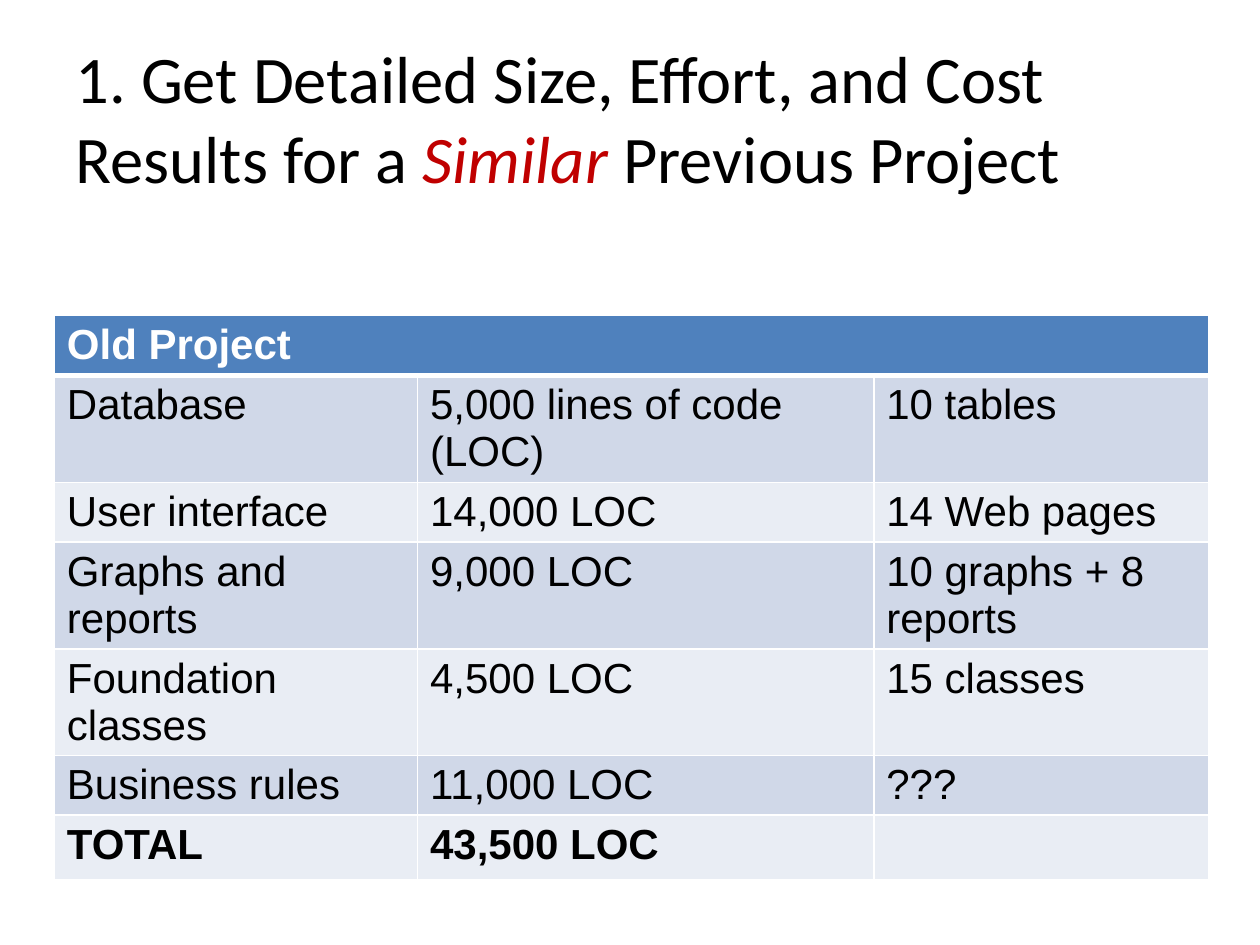
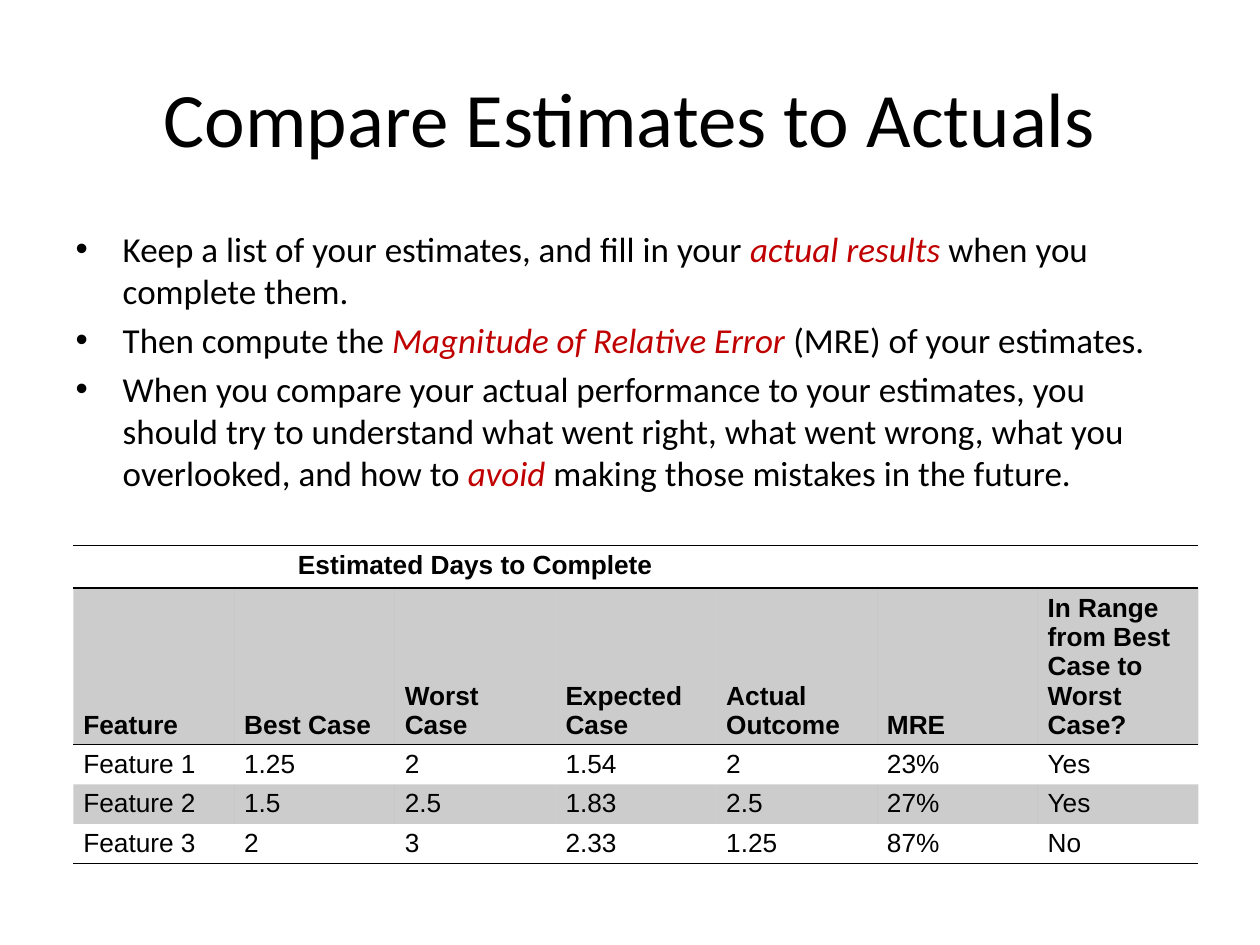
from lxml import etree
from pptx import Presentation
from pptx.dml.color import RGBColor
from pptx.enum import text
from pptx.oxml import ns
from pptx.util import Cm, Pt

BLACK = RGBColor(0x00, 0x00, 0x00)
WHITE = RGBColor(0xFF, 0xFF, 0xFF)
RED = RGBColor(0xC0, 0x00, 0x00)
BLUE = RGBColor(0x4F, 0x81, 0xBD)
BAND_DARK = RGBColor(0xD0, 0xD8, 0xE8)
BAND_LIGHT = RGBColor(0xE9, 0xED, 0xF4)
PLAIN_TABLE = "{2D5ABB26-0587-4C30-8999-92F81FD0307C}"
LEFT, CENTER = text.PP_ALIGN.LEFT, text.PP_ALIGN.CENTER
TOP, BOTTOM = text.MSO_ANCHOR.TOP, text.MSO_ANCHOR.BOTTOM


def write(p, words, size, font="Calibri", color=BLACK, bold=False, align=LEFT):
    """Fill a paragraph; parts between asterisks become red italics."""
    p.alignment = align
    if not words:
        end = etree.SubElement(p._p, ns.qn("a:endParaRPr"))
        end.set("sz", str(size * 100))
        return
    for i, part in enumerate(words.split("*")):
        r = p.add_run()
        r.text = part
        r.font.name, r.font.size, r.font.bold = font, Pt(size), bold
        r.font.italic = i % 2 == 1
        r.font.color.rgb = RED if i % 2 else color


def add_table(s, left, top, widths, rows, size, margins):
    """Each row: height, texts, and a dict of fill, alpha, lines and text format."""
    frame = s.shapes.add_table(len(rows), len(widths), Cm(left), Cm(top),
                               Cm(sum(widths)), Cm(sum(row[0] for row in rows)))
    table = frame.table
    table.first_row = table.horz_banding = False
    table._tbl.tblPr.find(ns.qn("a:tableStyleId")).text = PLAIN_TABLE
    for column, width in zip(table.columns, widths):
        column.width = Cm(width)
    for y, (height, words, look) in enumerate(rows):
        table.rows[y].height = Cm(height)
        for x, word in enumerate(words):
            cell = table.cell(y, x)
            cell.margin_left = cell.margin_right = Cm(margins[0])
            cell.margin_top = cell.margin_bottom = Cm(margins[1])
            cell.vertical_anchor = look.get("anchor", TOP)
            write(cell.text_frame.paragraphs[0], word, size, font="Arial",
                  color=look.get("color", BLACK), bold=look.get("bold", False),
                  align=look.get("align", LEFT))
            # Borders come before the fill in the cell properties
            tc_pr = cell._tc.get_or_add_tcPr()
            for side, (color, points) in look.get("lines", {}).items():
                ln = etree.SubElement(tc_pr, ns.qn("a:ln" + side), w=str(Pt(points)))
                fill = etree.SubElement(ln, ns.qn("a:solidFill"))
                etree.SubElement(fill, ns.qn("a:srgbClr"), val=str(color))
            if "fill" in look:
                cell.fill.solid()
                cell.fill.fore_color.rgb = look["fill"]
                if "alpha" in look:
                    rgb = tc_pr.find(ns.qn("a:solidFill")).find(ns.qn("a:srgbClr"))
                    etree.SubElement(rgb, ns.qn("a:alpha"), val=str(look["alpha"] * 1000))
            else:
                cell.fill.background()
    return table


prs = Presentation()
prs.slide_width, prs.slide_height = Cm(25.4), Cm(19.05)

# Slides and titles
titles = [
    (5, "1. Get Detailed Size, Effort, and Cost Results for a *Similar* Previous Project", 38, LEFT),
    (1, "Compare Estimates to Actuals", 44, CENTER),
]
for layout, title, size, align in titles:
    s = prs.slides.add_slide(prs.slide_layouts[layout])
    sp = s.shapes.title
    sp.left, sp.top, sp.width, sp.height = Cm(1.27), Cm(0.76), Cm(22.86), Cm(3.18)
    tf = sp.text_frame
    tf.auto_size = text.MSO_AUTO_SIZE.NONE
    tf.vertical_anchor = text.MSO_ANCHOR.MIDDLE
    write(tf.paragraphs[0], title, size, align=align)
old_project, compare = prs.slides

# Old project table
project_rows = [
    (2.16, ["Database", "5,000 lines of code (LOC)", "10 tables"]),
    (1.2, ["User interface", "14,000 LOC", "14 Web pages"]),
    (2.14, ["Graphs and reports", "9,000 LOC", "10 graphs + 8 reports"]),
    (2.14, ["Foundation classes", "4,500 LOC", "15 classes"]),
    (1.2, ["Business rules", "11,000 LOC", "???"]),
    (1.28, ["TOTAL", "43,500 LOC", ""]),
]
grid = {side: (WHITE, 1) for side in "LRTB"}
rows = [(1.17, ["Old Project", "", ""],
         dict(fill=BLUE, color=WHITE, bold=True, lines={**grid, "B": (WHITE, 3)}))]
for i, (height, words) in enumerate(project_rows):
    lines = {**grid, "T": (WHITE, 3)} if i == 0 else grid
    rows.append((height, words, dict(fill=BAND_LIGHT if i % 2 else BAND_DARK,
                                     bold=words[0] == "TOTAL", lines=lines)))
table = add_table(old_project, 1.1, 6.36, [7.32, 9.2, 6.74], rows, 24, (0.25, 0.13))
table.cell(0, 0).merge(table.cell(0, 2))

# Advice list
sp = compare.placeholders[1]
sp.left, sp.top, sp.width, sp.height = Cm(1.27), Cm(4.45), Cm(22.86), Cm(5.92)
tf = sp.text_frame
tf.auto_size = text.MSO_AUTO_SIZE.NONE
advice = [
    "Keep a list of your estimates, and fill in your *actual results* when you complete them.",
    "Then compute the *Magnitude of Relative Error* (MRE) of your estimates.",
    "When you compare your actual performance to your estimates, you should try to understand "
    "what went right, what went wrong, what you overlooked, and how to *avoid* making those "
    "mistakes in the future.",
]
for i, line in enumerate(advice):
    p = tf.add_paragraph() if i else tf.paragraphs[0]
    p.space_before = Pt(4 if i else 0)
    p_pr = p._p.get_or_add_pPr()
    p_pr.set("marL", str(Cm(0.95)))
    p_pr.set("indent", str(-Cm(0.95)))
    write(p, line, 20)

# Estimates table
rule = (BLACK, 1)
shade = dict(fill=BLACK, alpha=20)
rows = [
    (0.85, ["", "Estimated Days to Complete", "", "", "", "", ""],
     dict(bold=True, align=CENTER, lines={"T": rule, "B": rule})),
    (3.16, ["Feature", "Best Case", "Worst Case", "Expected Case", "Actual Outcome", "MRE",
            "In Range from Best Case to Worst Case?"],
     dict(bold=True, anchor=BOTTOM, lines={"T": rule}, **shade)),
    (0.8, ["Feature 1", "1.25", "2", "1.54", "2", "23%", "Yes"], {}),
    (0.8, ["Feature 2", "1.5", "2.5", "1.83", "2.5", "27%", "Yes"], shade),
    (0.8, ["Feature 3", "2", "3", "2.33", "1.25", "87%", "No"], dict(lines={"B": rule})),
]
table = add_table(compare, 1.48, 11, [3.24] * 7, rows, 15, (0.2, 0.1))
for first, last in [(1, 3), (4, 6)]:
    table.cell(0, first).merge(table.cell(0, last))

prs.save("out.pptx")
